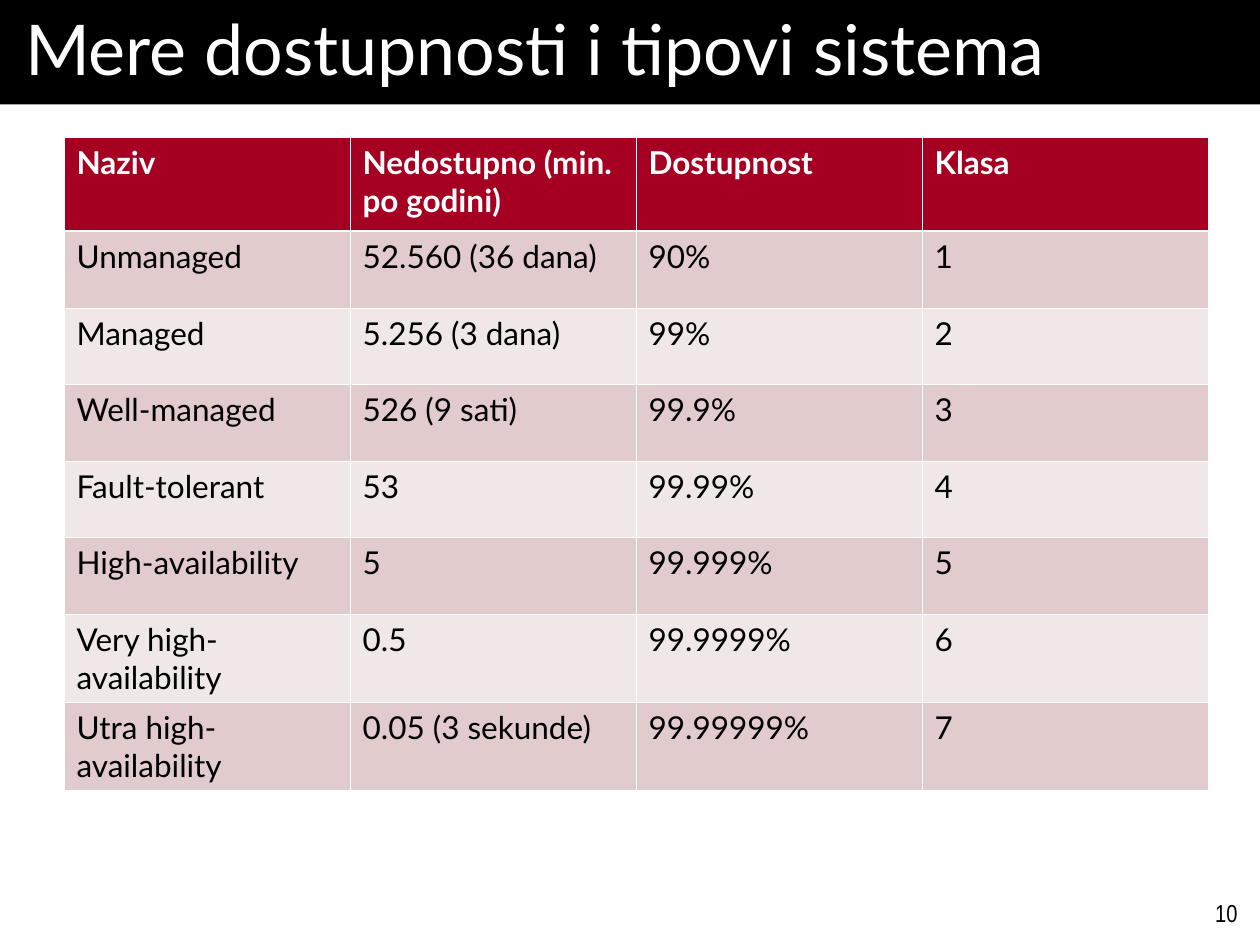
import pptx
import pptx.util
import pptx.dml.color
import pptx.enum.text
import pptx.oxml
import pptx.oxml.ns

COLORS = {
    "black": "000000",
    "white": "FFFFFF",
    "header": "A50021",
    "odd": "E1CBCC",
    "even": "F0E7E8",
}
ROWS = [
    ("Naziv", "Nedostupno (min. po godini)", "Dostupnost", "Klasa"),
    ("Unmanaged", "52.560 (36 dana)", "90%", "1"),
    ("Managed", "5.256 (3 dana)", "99%", "2"),
    ("Well-managed", "526 (9 sati)", "99.9%", "3"),
    ("Fault-tolerant", "53", "99.99%", "4"),
    ("High-availability", "5", "99.999%", "5"),
    ("Very high-availability", "0.5", "99.9999%", "6"),
    ("Utra high-availability", "0.05 (3 sekunde)", "99.99999%", "7"),
]
ROW_HEIGHTS = [94, 77, 76, 77, 76, 77, 88, 88]
COLUMN_WIDTH = 286
THIN, THICK = 0.45, 1.47


def px(length):
    return pptx.util.Emu(round(length * 914400 / 126))


def color(name):
    return pptx.dml.color.RGBColor.from_string(COLORS[name])


def set_values(target, values):
    for name, value in values.items():
        setattr(target, name, value)


def place(shape, left, top, width, height):
    set_values(shape, {"left": px(left), "top": px(top),
                       "width": px(width), "height": px(height)})


def paint(target, name):
    target.fill.solid()
    target.fill.fore_color.rgb = color(name)


def write(frame, text, size, ink, font="Lato", align="LEFT", bold=False):
    para = frame.paragraphs[0]
    para.alignment = pptx.enum.text.PP_ALIGN[align]
    span = para.add_run()
    span.text = text
    set_values(span.font, {"name": font, "size": pptx.util.Pt(size), "bold": bold})
    span.font.color.rgb = color(ink)


def add_title(page, text):
    title = page.shapes.title
    place(title, 0, 0, 1260, 97)
    paint(title, "black")
    frame = title.text_frame
    set_values(frame, {
        "margin_left": px(25), "margin_right": px(25),
        "margin_top": px(6), "margin_bottom": px(6),
        "word_wrap": True,
        "auto_size": pptx.enum.text.MSO_AUTO_SIZE.SHAPE_TO_FIT_TEXT,
        "vertical_anchor": pptx.enum.text.MSO_ANCHOR.TOP,
    })
    write(frame, text, 40, "white")


def add_page_number(page, text):
    box = page.shapes.add_textbox(px(1197), px(892), px(53), px(42))
    box.text_frame.word_wrap = True
    write(box.text_frame, text, 14, "black", "Arial Narrow", "RIGHT")


def add_borders(cell, widths):
    properties = cell._tc.get_or_add_tcPr()
    for side, width in widths.items():
        properties.append(pptx.oxml.parse_xml(
            f'<a:ln{side} {pptx.oxml.ns.nsdecls("a")} w="{pptx.util.Pt(width)}">'
            f'<a:solidFill><a:srgbClr val="{COLORS["white"]}"/></a:solidFill>'
            f'</a:ln{side}>'))


def format_cell(cell, text, row_index):
    header = row_index == 0
    add_borders(cell, {"L": THIN, "R": THIN,
                       "T": THICK if row_index == 1 else THIN,
                       "B": THICK if header else THIN})
    paint(cell, "header" if header else "odd" if row_index % 2 else "even")
    write(cell.text_frame, text, 18, "white" if header else "black", bold=header)


def add_availability_table(page):
    columns = len(ROWS[0])
    table = page.shapes.add_table(
        len(ROWS), columns, px(64), px(137),
        px(COLUMN_WIDTH * columns), px(sum(ROW_HEIGHTS))).table
    for column in table.columns:
        column.width = px(COLUMN_WIDTH)
    for row_index, (texts, height) in enumerate(zip(ROWS, ROW_HEIGHTS)):
        table.rows[row_index].height = px(height)
        for column_index, text in enumerate(texts):
            format_cell(table.cell(row_index, column_index), text, row_index)


def main():
    deck = pptx.Presentation()
    set_values(deck, {"slide_width": px(1260), "slide_height": px(945)})
    page = deck.slides.add_slide(deck.slide_layouts[5])
    add_title(page, "Mere dostupnosti i tipovi sistema")
    add_page_number(page, "10")
    add_availability_table(page)
    deck.save("out.pptx")


if __name__ == "__main__":
    main()
